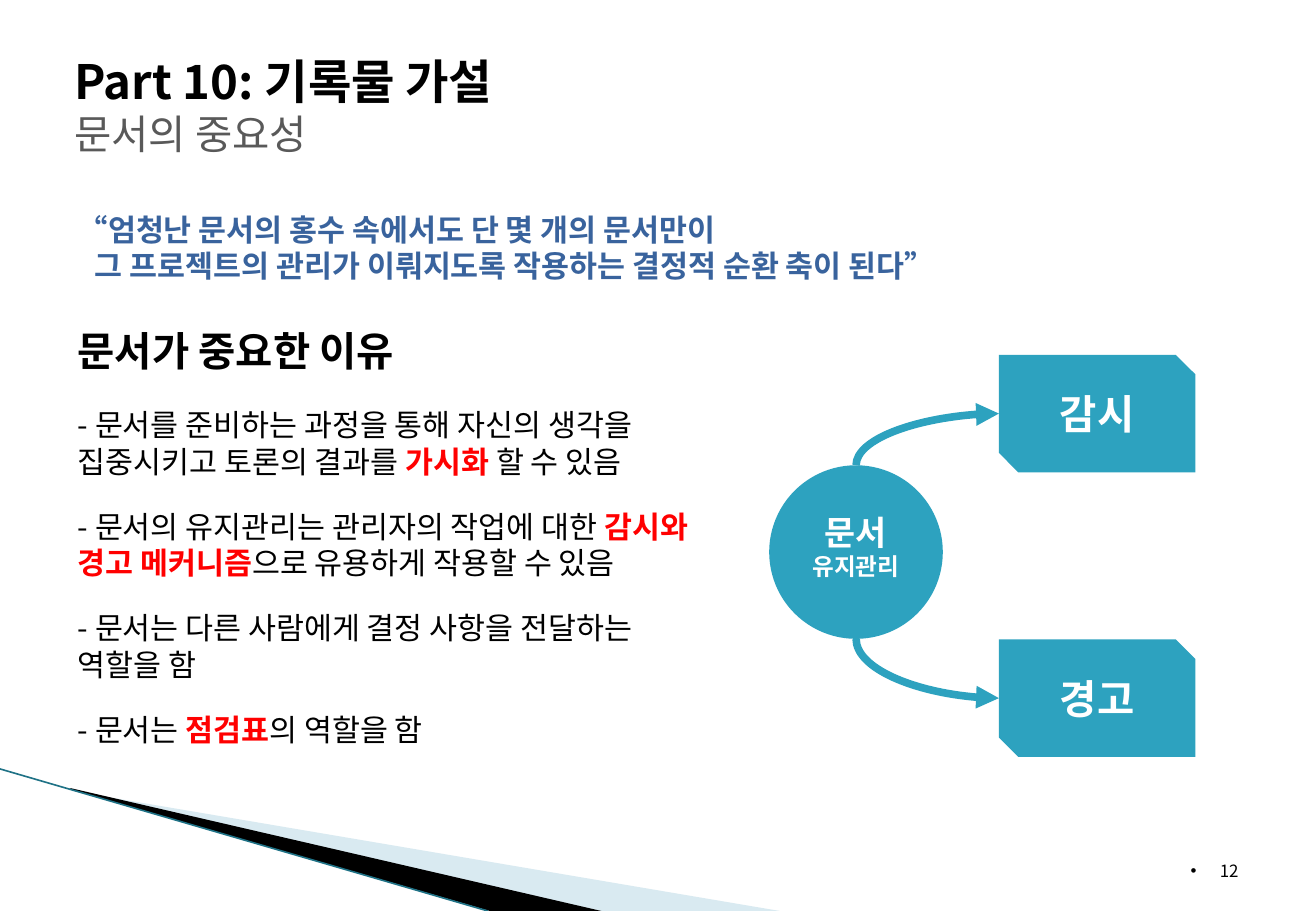
from lxml import etree
from pptx import Presentation
from pptx.dml.color import RGBColor
from pptx.enum.shapes import MSO_CONNECTOR, MSO_SHAPE
from pptx.enum.text import MSO_ANCHOR, MSO_AUTO_SIZE, PP_ALIGN
from pptx.oxml.ns import qn
from pptx.util import Cm, Pt

STRAIGHT, CURVE = MSO_CONNECTOR.STRAIGHT, MSO_CONNECTOR.CURVE
ELLIPSE, SNIPPED = MSO_SHAPE.OVAL, MSO_SHAPE.SNIP_2_DIAG_RECTANGLE
TOP, MIDDLE, BOTTOM = MSO_ANCHOR.TOP, MSO_ANCHOR.MIDDLE, MSO_ANCHOR.BOTTOM
LEFT, CENTER, RIGHT = PP_ALIGN.LEFT, PP_ALIGN.CENTER, PP_ALIGN.RIGHT

FONT = "Noto Sans CJK KR"
COLORS = {"black": "000000", "gray": "595959", "quote": "39639D", "red": "FF0000",
          "white": "FFFFFF", "teal": "2DA2BF", "pale": "A0CBDC", "edge": "1F7286"}
PAGE_W, PAGE_H = 27.51, 19.05

# Each paragraph: size, space before, left margin, first-line indent, runs (text, color, bold)
TITLE = [
    (28, 0, 0.23, 0, [("Part 10: 기록물 가설", "black", True)]),
    (24, 0, 0.23, 0, [("문서의 중요성", "gray", False)]),
]
QUOTE = ("“엄청난 문서의 홍수 속에서도 단 몇 개의 문서만이\n"
         "그 프로젝트의 관리가 이뤄지도록 작용하는 결정적 순환 축이 된다”")
REASONS = [
    [("- 문서를 준비하는 과정을 통해 자신의 생각을\n집중시키고 토론의 결과를 ", "black", False),
     ("가시화", "red", True), (" 할 수 있음", "black", False)],
    [("- 문서의 유지관리는 관리자의 작업에 대한 ", "black", False),
     ("감시와\n경고 메커니즘", "red", True), ("으로 유용하게 작용할 수 있음", "black", False)],
    [("- 문서는 다른 사람에게 결정 사항을 전달하는\n역할을 함", "black", False)],
    [("- 문서는 ", "black", False), ("점검표", "red", True), ("의 역할을 함", "black", False)],
]
BODY = [
    (18, 0, 0.66, -0.36, [(QUOTE, "quote", True)]),
    (24, 25, 0.3, 0, [("문서가 중요한 이유", "black", True)]),
] + [(18, 17 if i else 19, 0.3, 0, runs) for i, runs in enumerate(REASONS)]
HUB = [(20, 0, 0, 0, [("문서", "white", True)]),
       (14, 0, 0, 0, [("유지관리", "white", True)])]
HUB_BOX = (16.08, 9.73, 3.63, 3.63)
TARGETS = [("감시", 7.42), ("경고", 13.37)]
TARGET_X, TARGET_W, TARGET_H = 20.88, 4.11, 2.46
SWOOSHES = [
    ("pale", 40, [(1.5, 16.51), (1.5, 16.54), (16.3, PAGE_H), (12.55, PAGE_H)]),
    ("black", 100, [(1.47, 16.48), (12.57, PAGE_H), (10.24, PAGE_H), (1.47, 16.51)]),
]


def rgb(name):
    return RGBColor.from_string(COLORS[name])


def write(shape, paragraphs, align=LEFT, anchor=MIDDLE, exact=True):
    frame = shape.text_frame
    frame.auto_size = MSO_AUTO_SIZE.NONE
    frame.word_wrap = True
    frame.vertical_anchor = anchor
    for i, (size, before, margin, indent, runs) in enumerate(paragraphs):
        para = frame.add_paragraph() if i else frame.paragraphs[0]
        para.alignment = align
        para.space_before, para.space_after = Pt(before), Pt(0)
        para.line_spacing = Pt(size * 1.2) if exact else 1.0
        props = para._p.get_or_add_pPr()
        props.set("marL", str(Cm(margin)))
        props.set("indent", str(Cm(indent)))
        etree.SubElement(props, qn("a:buNone"))
        for text, color, bold in runs:
            for n, line in enumerate(text.split("\n")):
                if n:
                    para.add_line_break()
                span = para.add_run()
                span.text = line
                span.font.size, span.font.bold = Pt(size), bold
                span.font.name = FONT
                span.font.color.rgb = rgb(color)
                east = etree.SubElement(span._r.get_or_add_rPr(), qn("a:ea"))
                east.set("typeface", FONT)


def place(shape, left, top, width, height):
    shape.left, shape.top = Cm(left), Cm(top)
    shape.width, shape.height = Cm(width), Cm(height)


def paint(shape, color, opacity=100):
    shape.shadow.inherit = False
    shape.fill.solid()
    shape.fill.fore_color.rgb = rgb(color)
    shape.line.fill.background()
    if opacity < 100:
        tint = shape._element.spPr.find(qn("a:solidFill"))[0]
        etree.SubElement(tint, qn("a:alpha")).set("val", str(opacity * 1000))


def connect(page, kind, start, end, color, width):
    line = page.shapes.add_connector(kind, *(Cm(v) for v in (*start, *end)))
    line.line.color.rgb = rgb(color)
    line.line.width = Pt(width)
    etree.SubElement(line._element.spPr, qn("a:effectLst"))
    return line


def curve_arrow(page, start, end):
    (x1, y1), (x2, y2) = start, end
    across, rise = x2 - x1, abs(y2 - y1)
    mid_x, mid_y = (x1 + x2) / 2, (y1 + y2) / 2
    corner = (mid_x - rise / 2, mid_y - across / 2)
    opposite = (mid_x + rise / 2, mid_y + across / 2)
    arrow = connect(page, CURVE, corner, opposite, "teal", 4.5)
    props = arrow._element.spPr
    upward = y2 < y1
    frame = props.find(qn("a:xfrm"))
    frame.set("rot", str((90 if upward else 270) * 60000))
    frame.set("flipH", "1")
    if upward:
        frame.set("flipV", "1")
    props.find(qn("a:prstGeom")).set("prst", "curvedConnector2")
    etree.SubElement(props.find(qn("a:ln")), qn("a:tailEnd")).set("type", "triangle")


def add_swooshes(page):
    for color, opacity, points in SWOOSHES:
        corners = [(Cm(x), Cm(y)) for x, y in points]
        builder = page.shapes.build_freeform(*corners[0])
        builder.add_line_segments(corners[1:], close=True)
        paint(builder.convert_to_shape(), color, opacity)
    connect(page, STRAIGHT, (0, 16.08), (10.2, PAGE_H), "edge", 0.95)


def add_diagram(page):
    hub = page.shapes.add_shape(ELLIPSE, *(Cm(v) for v in HUB_BOX))
    paint(hub, "teal")
    frame = hub.text_frame
    frame.margin_left = frame.margin_right = frame.margin_top = 0
    frame.margin_bottom = Cm(0.25)
    write(hub, HUB, CENTER)
    left, top, width, height = HUB_BOX
    for (label, y), hub_edge in zip(TARGETS, (top, top + height)):
        box = page.shapes.add_shape(
            SNIPPED, Cm(TARGET_X), Cm(y), Cm(TARGET_W), Cm(TARGET_H))
        paint(box, "teal")
        write(box, [(24, 0, 0, 0, [(label, "white", True)])], CENTER, exact=False)
        curve_arrow(page, (left + width / 2, hub_edge), (TARGET_X, y + TARGET_H / 2))


def add_page_number(page):
    box = page.shapes.add_textbox(Cm(19.71), Cm(17.22), Cm(6.43), Cm(1.32))
    write(box, [(10, 0, 0.61, -0.61, [("12", "black", False)])], RIGHT, BOTTOM, False)
    props = box.text_frame.paragraphs[0]._p.pPr
    props.remove(props.find(qn("a:buNone")))
    etree.SubElement(props, qn("a:buFont")).set("typeface", "Arial")
    etree.SubElement(props, qn("a:buChar")).set("char", "•")


def main():
    deck = Presentation()
    deck.slide_width, deck.slide_height = Cm(PAGE_W), Cm(PAGE_H)
    page = deck.slides.add_slide(deck.slide_layouts[1])
    add_swooshes(page)
    title, body = page.placeholders
    place(title, 1.07, 0.08, 25.4, 4.24)
    write(title, TITLE)
    place(body, 1.07, 4.28, 25.4, 14.77)
    write(body, BODY, anchor=TOP)
    add_diagram(page)
    add_page_number(page)
    deck.save("out.pptx")


if __name__ == "__main__":
    main()
